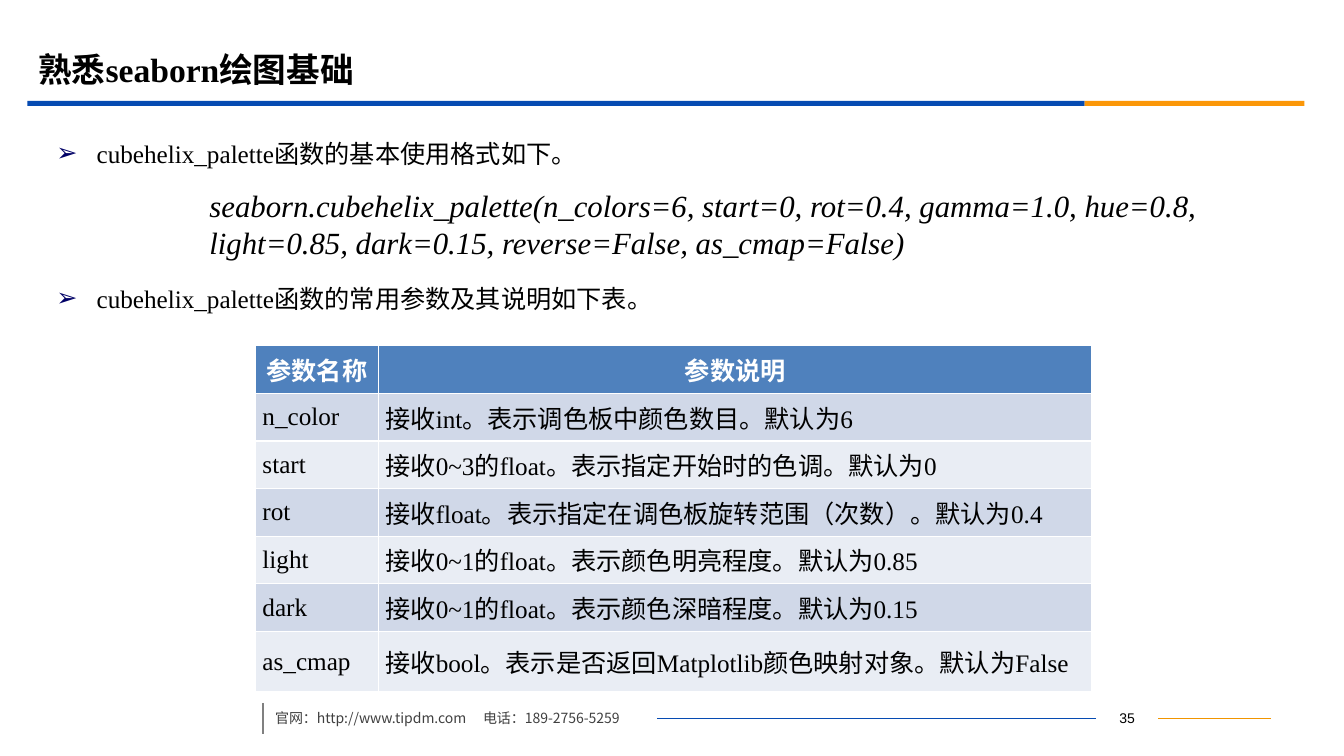
from dataclasses import dataclass

from lxml import etree
from pptx import Presentation
from pptx.dml.color import RGBColor
from pptx.enum import shapes, text
from pptx.oxml import ns
from pptx.util import Pt


@dataclass(frozen=True)
class Theme:
    latin: str = "Times New Roman"
    cjk: str = "Noto Sans CJK SC"
    number: str = "Arial"
    blue: str = "064BB2"
    orange: str = "FB9708"
    amber: str = "F19500"
    gray: str = "808080"
    ink: str = "000000"
    soft: str = "404040"
    white: str = "FFFFFF"
    bullet: str = "000066"
    header: str = "4F81BD"
    bands: tuple = ("D0D8E8", "E9EDF4")
    title_size: int = 24
    formula_size: int = 22
    body_size: int = 18
    footer_size: int = 10


THEME = Theme()

PARAMETERS = [
    ("参数名称", "参数说明"),
    ("n_color", "接收int。表示调色板中颜色数目。默认为6"),
    ("start", "接收0~3的float。表示指定开始时的色调。默认为0"),
    ("rot", "接收float。表示指定在调色板旋转范围（次数）。默认为0.4"),
    ("light", "接收0~1的float。表示颜色明亮程度。默认为0.85"),
    ("dark", "接收0~1的float。表示颜色深暗程度。默认为0.15"),
    ("as_cmap", "接收bool。表示是否返回Matplotlib颜色映射对象。默认为False"),
]
STATEMENTS = [
    "cubehelix_palette函数的基本使用格式如下。",
    "cubehelix_palette函数的常用参数及其说明如下表。",
]
FORMULA = ("seaborn.cubehelix_palette(n_colors=6, start=0, rot=0.4, gamma=1.0, "
           "hue=0.8, light=0.85, dark=0.15, reverse=False, as_cmap=False)")


def rgb(value):
    return RGBColor.from_string(value)


def add_run(paragraph, words, size, color=THEME.ink, face=THEME.latin,
            bold=False, italic=False):
    run = paragraph.add_run()
    run.text = words
    font = run.font
    font.size, font.bold, font.italic = Pt(size), bold, italic
    font.color.rgb = rgb(color)
    font.name = face
    east_asian = etree.SubElement(run._r.get_or_add_rPr(), ns.qn("a:ea"))
    east_asian.set("typeface", THEME.cjk)


def place(part, box):
    part.left, part.top, part.width, part.height = (Pt(v) for v in box)


def add_text_frame(slide, box):
    frame = slide.shapes.add_textbox(*(Pt(v) for v in box)).text_frame
    frame.word_wrap = True
    return frame


def add_bar(slide, box, color):
    bar = slide.shapes.add_shape(
        shapes.MSO_SHAPE.RECTANGLE, *(Pt(v) for v in box))
    bar.shadow.inherit = False
    bar.fill.solid()
    bar.fill.fore_color.rgb = rgb(color)
    bar.line.fill.background()


def add_rule(slide, start, end, color, weight):
    rule = slide.shapes.add_connector(
        shapes.MSO_CONNECTOR.STRAIGHT, *(Pt(v) for v in start + end))
    rule.line.color.rgb = rgb(color)
    rule.line.width = Pt(weight)
    etree.SubElement(rule._element.spPr, ns.qn("a:effectLst"))


def fill_heading(slide, box):
    """Set the title and the two-colour band beneath it."""
    left, top, width, height = box
    title = slide.shapes.title
    place(title, (left, top, width, height))
    frame = title.text_frame
    frame.auto_size = text.MSO_AUTO_SIZE.NONE
    frame.vertical_anchor = text.MSO_ANCHOR.MIDDLE
    heading = frame.paragraphs[0]
    heading.alignment = text.PP_ALIGN.LEFT
    add_run(heading, "熟悉seaborn绘图基础", THEME.title_size, bold=True)

    band_left, band_top, blue_width = left - 0.7, top + height + 2, 755.3
    add_bar(slide, (band_left, band_top, blue_width, 3.6), THEME.blue)
    add_bar(slide, (band_left + blue_width, band_top, 157, 3.6), THEME.orange)


def add_bullet(paragraph, indent):
    properties = paragraph._p.get_or_add_pPr()
    properties.set("marL", str(Pt(indent)))
    properties.set("indent", str(-Pt(indent)))
    color = etree.SubElement(properties, ns.qn("a:buClr"))
    etree.SubElement(color, ns.qn("a:srgbClr")).set("val", THEME.bullet)
    etree.SubElement(properties, ns.qn("a:buChar")).set("char", "➢")


def fill_statements(slide, box):
    """Fill the body list, leaving a gap for the formula between its items."""
    body = slide.placeholders[1]
    place(body, box)
    frame = body.text_frame
    frame.auto_size = text.MSO_AUTO_SIZE.NONE
    frame.margin_top = Pt(11.5)
    for index, statement in enumerate(STATEMENTS):
        paragraph = frame.add_paragraph() if index else frame.paragraphs[0]
        add_bullet(paragraph, 28.8)
        paragraph.space_before = Pt(82 if index else 0)
        add_run(paragraph, statement, THEME.body_size)


def add_formula(slide, box):
    paragraph = add_text_frame(slide, box).paragraphs[0]
    paragraph._p.get_or_add_pPr().set("marL", str(Pt(28)))
    add_run(paragraph, FORMULA, THEME.formula_size, italic=True)


def add_parameter_table(slide, box):
    left, top, width, height = box
    name_width = 87.8
    table = slide.shapes.add_table(
        len(PARAMETERS), 2, *(Pt(v) for v in box)).table
    for column, column_width in zip(table.columns, (name_width, width - name_width)):
        column.width = Pt(column_width)
    for index, entries in enumerate(PARAMETERS):
        is_header = index == 0
        table.rows[index].height = Pt(height / len(PARAMETERS))
        for cell, entry in zip(table.rows[index].cells, entries):
            cell.fill.solid()
            cell.fill.fore_color.rgb = rgb(
                THEME.header if is_header else THEME.bands[(index - 1) % 2])
            cell.vertical_anchor = text.MSO_ANCHOR.MIDDLE
            cell.margin_left = cell.margin_right = Pt(5)
            cell.margin_top = cell.margin_bottom = 0
            paragraph = cell.text_frame.paragraphs[0]
            paragraph.alignment = (
                text.PP_ALIGN.CENTER if is_header else text.PP_ALIGN.LEFT)
            add_run(paragraph, entry, THEME.body_size, bold=is_header,
                    color=THEME.white if is_header else THEME.ink)


def add_footer(slide, box):
    """Place contact details, page number and rules along one centre line."""
    left, top, width, height = box
    middle = top + height / 2
    add_rule(slide, (left, top), (left, top + height), THEME.gray, 1.25)
    add_rule(slide, (left + 281.5, middle), (left + 594.7, middle), THEME.blue, 0.75)
    add_rule(slide, (left + 639.4, middle), (left + width, middle), THEME.amber, 0.75)

    contact = add_text_frame(slide, (left + 1.4, middle - 12.5, 386, 25))
    contact.vertical_anchor = text.MSO_ANCHOR.MIDDLE
    details = contact.paragraphs[0]
    tabs = etree.SubElement(details._p.get_or_add_pPr(), ns.qn("a:tabLst"))
    tab = etree.SubElement(tabs, ns.qn("a:tab"))
    tab.set("pos", str(Pt(148.5)))
    tab.set("algn", "l")
    add_run(details, "官网：http://www.tipdm.com\t电话：189-2756-5259",
            THEME.footer_size, THEME.soft, THEME.cjk)

    page = add_text_frame(slide, (left + 594.7, middle - 9, 44.7, 18))
    page.vertical_anchor = text.MSO_ANCHOR.MIDDLE
    page.margin_top = page.margin_bottom = 0
    page.paragraphs[0].alignment = text.PP_ALIGN.CENTER
    add_run(page.paragraphs[0], "35", THEME.footer_size, face=THEME.number)


def main():
    deck = Presentation()
    deck.slide_width, deck.slide_height = Pt(960), Pt(540)
    slide = deck.slides.add_slide(deck.slide_layouts[1])
    fill_heading(slide, (20.2, 28, 864, 42))
    fill_statements(slide, (33, 87, 875, 398))
    add_formula(slide, (114.5, 129.6, 769.7, 60.5))
    add_parameter_table(slide, (182.5, 247, 597.6, 238))
    add_footer(slide, (188, 502, 720, 22))
    deck.save("out.pptx")


if __name__ == "__main__":
    main()
